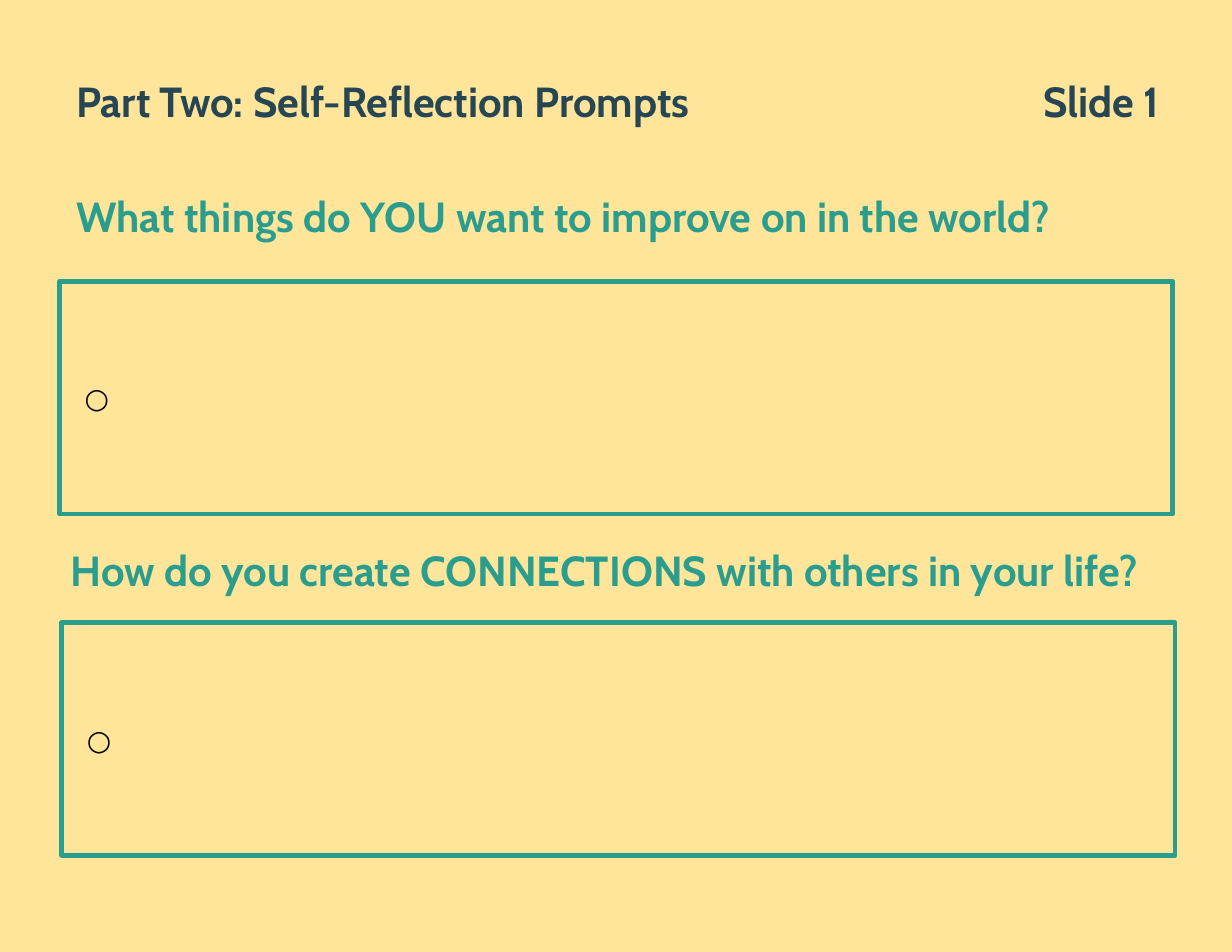
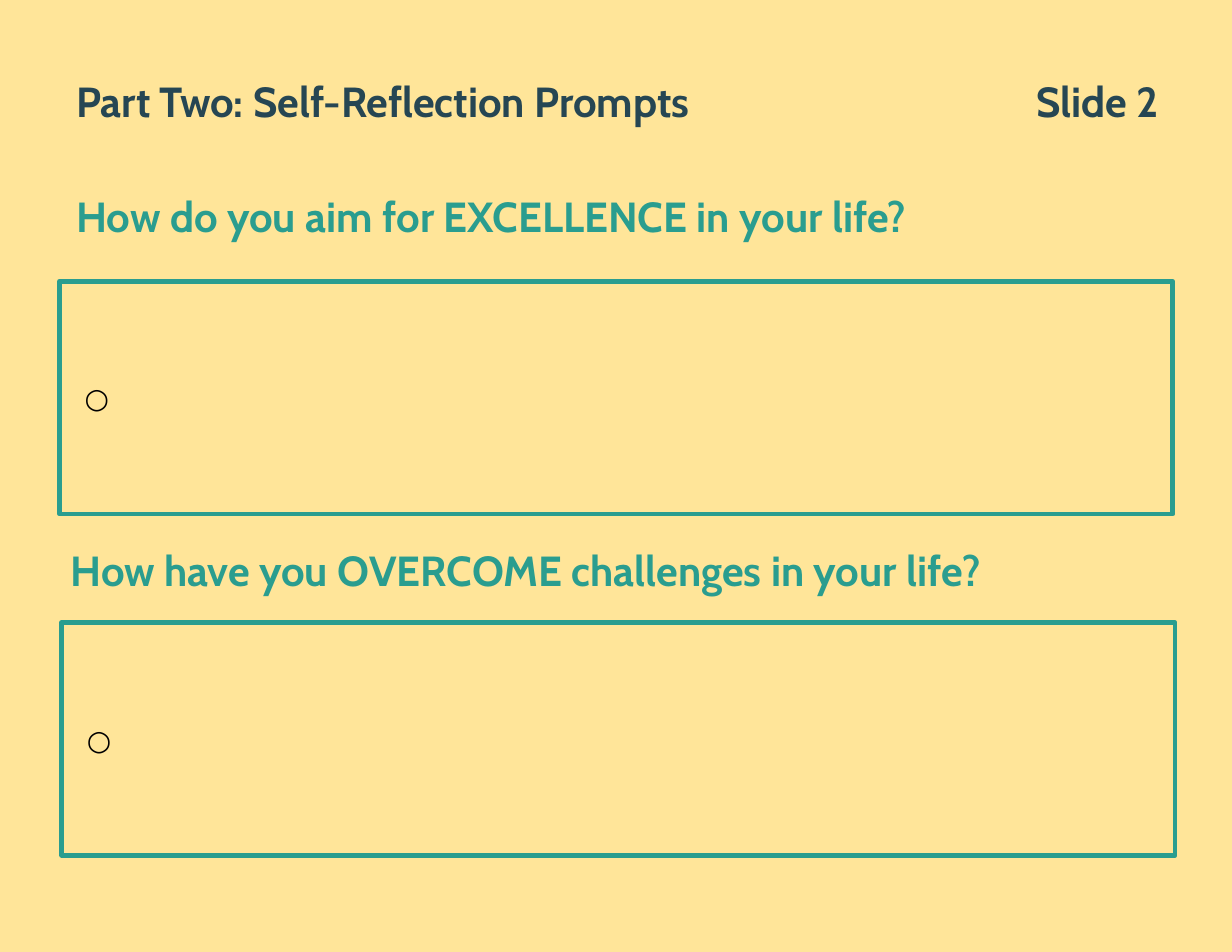
"""Builds the self-reflection prompt slides."""
from lxml import etree
from pptx import Presentation
from pptx import util as u
from pptx.dml import color
from pptx.enum import shapes, text
from pptx.oxml import ns

SAND = color.RGBColor(0xFF, 0xE5, 0x99)
TEAL = color.RGBColor(0x2A, 0x9D, 0x8F)
NAVY = color.RGBColor(0x26, 0x46, 0x53)
BLACK = color.RGBColor(0, 0, 0)

FONT = "Cabin"
INSET = u.Cm(0.25)
HEADING = {"name": FONT, "size": u.Pt(27), "bold": True}
MARKER = {"name": FONT, "size": u.Pt(18), "bold": False}
FRAME = {
    "margin_left": INSET, "margin_right": INSET,
    "margin_top": INSET, "margin_bottom": INSET,
    "word_wrap": True, "auto_size": text.MSO_AUTO_SIZE.NONE,
    "vertical_anchor": text.MSO_ANCHOR.MIDDLE,
}

HEADER_BOX = (u.Cm(1.48), u.Cm(1.17), u.Cm(25.06), u.Cm(2.24))
QUESTION_BOXES = (
    (u.Cm(1.48), u.Cm(4.08), u.Cm(25.12), u.Cm(1.63)),
    (u.Cm(1.35), u.Cm(12.1), u.Cm(25.25), u.Cm(1.63)),
)
ANSWER_BOXES = (
    (u.Cm(1.35), u.Cm(6.38), u.Cm(25.25), u.Cm(5.28)),
    (u.Cm(1.4), u.Cm(14.12), u.Cm(25.25), u.Cm(5.28)),
)

HEADER = "Part Two: Self-Reflection Prompts"
PROMPTS = (
    ("What things do YOU want to improve on in the world?",
     "How do you create CONNECTIONS with others in your life?"),
    ("How do you aim for EXCELLENCE in your life?",
     "How have you OVERCOME challenges in your life?"),
)


def apply(target, values):
    """Set each named attribute on the target."""
    for name, value in values.items():
        setattr(target, name, value)


def write(part, box, wording, style, ink, align=text.PP_ALIGN.LEFT):
    """Place a text part in its box and return its paragraph."""
    apply(part, dict(zip(("left", "top", "width", "height"), box)))
    apply(part.text_frame, FRAME)
    paragraph = part.text_frame.paragraphs[0]
    apply(paragraph, {"alignment": align, "space_before": u.Pt(0)})
    run = paragraph.add_run()
    run.text = wording
    apply(run.font, style)
    run.font.color.rgb = ink
    return paragraph


def indent(paragraph, margin):
    """Set the left margin of a paragraph with no hanging first line."""
    properties = paragraph._p.get_or_add_pPr()
    apply_to = {"marL": margin, "indent": 0}
    for name, value in apply_to.items():
        properties.set(name, str(int(value)))
    return properties


def add_header(slide, box, number):
    """Put the title at the left of the box and the slide label at its right."""
    left, top, width, height = box
    label_width = u.Cm(4.09)
    title_box = (left, top, u.Cm(19.46), height)
    label_box = (left + width - label_width, top, label_width, height)
    write(slide.shapes.title, title_box, HEADER, HEADING, NAVY)
    label = slide.shapes.add_textbox(*label_box)
    write(label, label_box, f"Slide {number}", HEADING, NAVY, text.PP_ALIGN.RIGHT)


def add_question(question, box, wording):
    """Write one question as an unbulleted teal heading."""
    paragraph = write(question, box, wording, HEADING, TEAL)
    etree.SubElement(indent(paragraph, 0), ns.qn("a:buNone"))


def add_answer(slide, box):
    """Outline an answer area with one marker ready to fill in."""
    answer = slide.shapes.add_shape(shapes.MSO_SHAPE.RECTANGLE, *box)
    answer.shadow.inherit = False
    answer.fill.background()
    answer.line.color.rgb = TEAL
    answer.line.width = u.Pt(3)
    etree.SubElement(answer.line._get_or_add_ln(), ns.qn("a:round"))
    indent(write(answer, box, "○", MARKER, BLACK), u.Cm(0.32))


def add_prompt_slide(deck, number, questions):
    """Add a slide with a header and two questions above their answer areas."""
    slide = deck.slides.add_slide(deck.slide_layouts.get_by_name("Two Content"))
    _, *bodies = slide.placeholders
    add_header(slide, HEADER_BOX, number)
    for question, box, wording in zip(bodies, QUESTION_BOXES, questions):
        add_question(question, box, wording)
    for box in ANSWER_BOXES:
        add_answer(slide, box)


def main():
    """Build and save the deck."""
    deck = Presentation()
    apply(deck, {"slide_width": u.Cm(27.94), "slide_height": u.Cm(21.59)})
    backdrop = deck.slide_master.background.fill
    backdrop.solid()
    backdrop.fore_color.rgb = SAND
    for number, questions in enumerate(PROMPTS, start=1):
        add_prompt_slide(deck, number, questions)
    deck.save("out.pptx")


if __name__ == "__main__":
    main()
